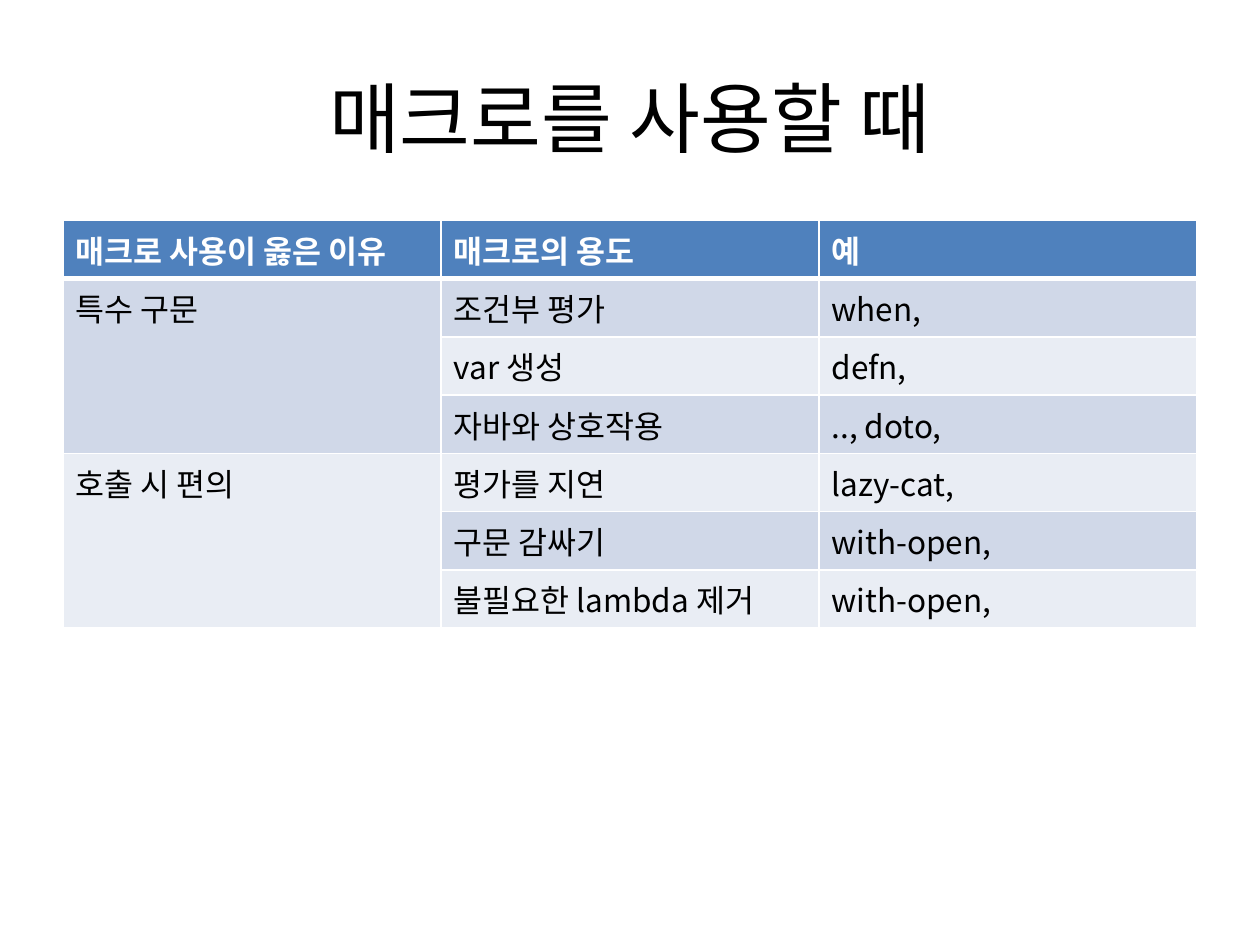
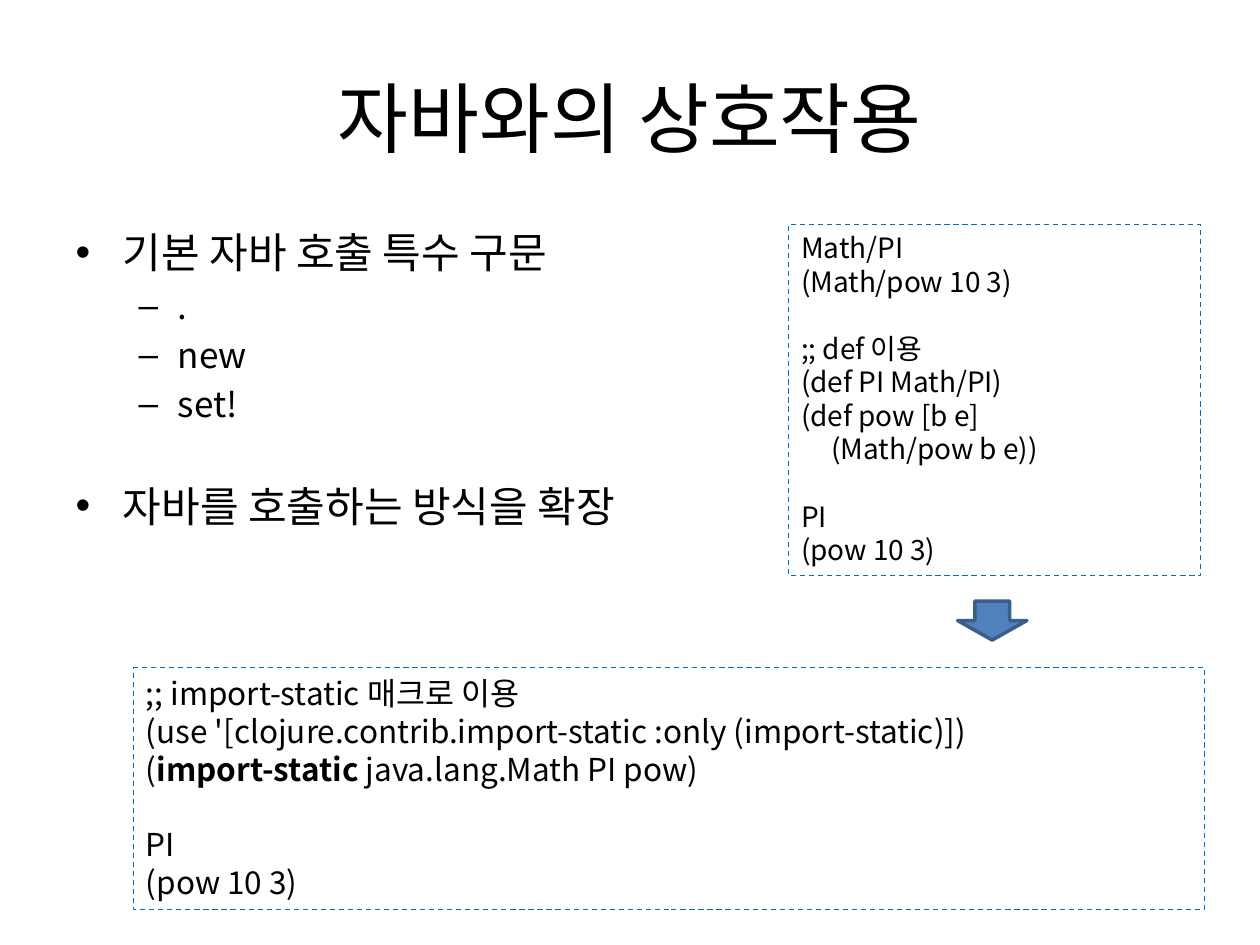
from lxml import etree
from pptx import Presentation
from pptx.dml.color import RGBColor
from pptx.enum.dml import MSO_LINE_DASH_STYLE as DASH
from pptx.enum.shapes import MSO_SHAPE as SHAPE
from pptx.enum.text import MSO_ANCHOR as ANCHOR, MSO_AUTO_SIZE as FIT, PP_ALIGN as ALIGN
from pptx.oxml.ns import qn
from pptx.util import Inches, Pt

FONT = "Noto Sans CJK KR"
BLACK = RGBColor(0x00, 0x00, 0x00)
WHITE = RGBColor(0xFF, 0xFF, 0xFF)
BLUE = RGBColor(0x4F, 0x81, 0xBD)
DARK_BLUE = RGBColor(0x3A, 0x5F, 0x8C)
FRAME_BLUE = RGBColor(0x00, 0x70, 0xC0)
BANDS = (RGBColor(0xD0, 0xD8, 0xE8), RGBColor(0xE9, 0xED, 0xF4))

TITLE_AND_BODY, TITLE_ONLY = 1, 5
LEADING = 1.2  # line pitch relative to the font size


class Deck:
    """Holds the shared style and the slide being filled."""

    def __init__(self):
        self.prs = Presentation()
        self.prs.slide_width, self.prs.slide_height = Inches(10), Inches(7.5)
        self.slide = None

    def place(self, sp, box):
        for name, value in zip(("left", "top", "width", "height"), box):
            setattr(sp, name, Inches(value))

    def run(self, p, text, size, color=BLACK, bold=False):
        r = p.add_run()
        r.text = text
        r.font.color.rgb = color
        for name, value in {"name": FONT, "size": Pt(size), "bold": bold}.items():
            setattr(r.font, name, value)
        # East Asian typeface, next to the Latin one
        etree.SubElement(r.font._element, qn("a:ea")).set("typeface", FONT)

    def paragraphs(self, tf, count):
        return [tf.paragraphs[0]] + [tf.add_paragraph() for _ in range(count - 1)]

    def add_slide(self, title, layout=TITLE_ONLY):
        self.slide = self.prs.slides.add_slide(self.prs.slide_layouts[layout])
        sp = self.slide.shapes.title
        self.place(sp, (0.5, 0.3, 9, 1.25))
        tf = sp.text_frame
        tf.vertical_anchor = ANCHOR.MIDDLE
        p = tf.paragraphs[0]
        p.alignment = ALIGN.CENTER
        self.run(p, title, 44)

    def bullets(self, box, items):
        """Items are (level, text, space before in points)."""
        sp = self.slide.placeholders[1]
        self.place(sp, box)
        tf = sp.text_frame
        tf.auto_size = FIT.NONE
        for p, (level, text, before) in zip(self.paragraphs(tf, len(items)), items):
            size = (24, 20)[level]
            p.level = level
            p.space_before = Pt(before)
            p.line_spacing = Pt(LEADING * size)
            self.run(p, text, size)

    def shape(self, kind, box, line, width, fill=None, dash=None):
        sp = self.slide.shapes.add_shape(kind, *map(Inches, box))
        sp.shadow.inherit = False
        if fill is None:
            sp.fill.background()
        else:
            sp.fill.solid()
            sp.fill.fore_color.rgb = fill
        sp.line.color.rgb = line
        sp.line.width = Pt(width)
        if dash:
            sp.line.dash_style = dash
        return sp

    def code(self, box, size, blocks):
        """Blocks are set one line apart; a line is a list of (text, bold, indent)."""
        sp = self.shape(SHAPE.RECTANGLE, box, FRAME_BLUE, 0.75, dash=DASH.DASH)
        tf = sp.text_frame
        for name, value in {"word_wrap": True, "auto_size": FIT.SHAPE_TO_FIT_TEXT,
                            "vertical_anchor": ANCHOR.TOP}.items():
            setattr(tf, name, value)
        lines = [(i > 0 and j == 0, line) for i, block in enumerate(blocks)
                 for j, line in enumerate(block)]
        pitch = Pt(LEADING * size)
        for p, (gap, line) in zip(self.paragraphs(tf, len(lines)), lines):
            p.alignment = ALIGN.LEFT
            p.line_spacing = pitch
            p.space_before = pitch if gap else Pt(0)
            text = line.lstrip("\t")
            if text != line:
                p._p.get_or_add_pPr().set("marL", str(Inches(0.24)))
            # Every second part between asterisks is bold
            for i, part in enumerate(text.split("*")):
                self.run(p, part, size, bold=i % 2 == 1)

    def borders(self, cell, widths):
        tcPr = cell._tc.get_or_add_tcPr()
        for i, (side, width) in enumerate(widths.items()):
            ln = etree.Element(qn("a:ln" + side), w=str(Pt(width)))
            fill = etree.SubElement(ln, qn("a:solidFill"))
            etree.SubElement(fill, qn("a:srgbClr"), val=str(WHITE))
            tcPr.insert(i, ln)

    def table(self, box, rows, merges):
        tbl = self.slide.shapes.add_table(len(rows), len(rows[0]), *map(Inches, box)).table
        for i, row in enumerate(rows):
            header = i == 0
            for j, text in enumerate(row):
                cell = tbl.cell(i, j)
                cell.fill.solid()
                cell.fill.fore_color.rgb = BLUE if header else BANDS[(i - 1) % 2]
                widths = {"L": 1, "R": 1, "T": 1, "B": 3 if header else 1}
                if i == 1:
                    del widths["T"]  # the header's thick rule shows here
                self.borders(cell, widths)
                if text:
                    self.run(cell.text_frame.paragraphs[0], text, 18,
                             WHITE if header else BLACK, header)
        for first, last in merges:
            tbl.cell(first, 0).merge(tbl.cell(last, 0))


deck = Deck()

# Slide 1: when to use macros
deck.add_slide("매크로를 사용할 때")
deck.table((0.5, 1.75, 9, 2.84), [
    ("매크로 사용이 옳은 이유", "매크로의 용도", "예"),
    ("특수 구문", "조건부 평가", "when,"),
    ("", "var 생성", "defn,"),
    ("", "자바와 상호작용", ".., doto,"),
    ("호출 시 편의", "평가를 지연", "lazy-cat,"),
    ("", "구문 감싸기", "with-open,"),
    ("", "불필요한 lambda 제거", "with-open,"),
], merges=[(1, 3), (4, 6)])

# Slide 2: working with Java
deck.add_slide("자바와의 상호작용", TITLE_AND_BODY)
deck.bullets((0.5, 1.75, 9, 4.95), [
    (0, "기본 자바 호출 특수 구문", 4.8),
    (1, ".", 4),
    (1, "new", 4),
    (1, "set!", 4),
    (0, "자바를 호출하는 방식을 확장", 32),
])
calls = ["PI", "(pow 10 3)"]
deck.code((6.26, 1.78, 3.27, 2.79), 16, [
    ["Math/PI", "(Math/pow 10 3)"],
    [";; def 이용", "(def PI Math/PI)", "(def pow [b e]", "\t(Math/pow b e))"],
    calls,
])
deck.code((1.06, 5.3, 8.5, 1.92), 18, [
    [";; import-static 매크로 이용",
     "(use '[clojure.contrib.import-static :only (import-static)])",
     "(*import-static *java.lang.Math PI pow)"],
    calls,
])
deck.shape(SHAPE.DOWN_ARROW, (7.6, 4.77, 0.55, 0.31), DARK_BLUE, 2, fill=BLUE)

deck.prs.save("out.pptx")
